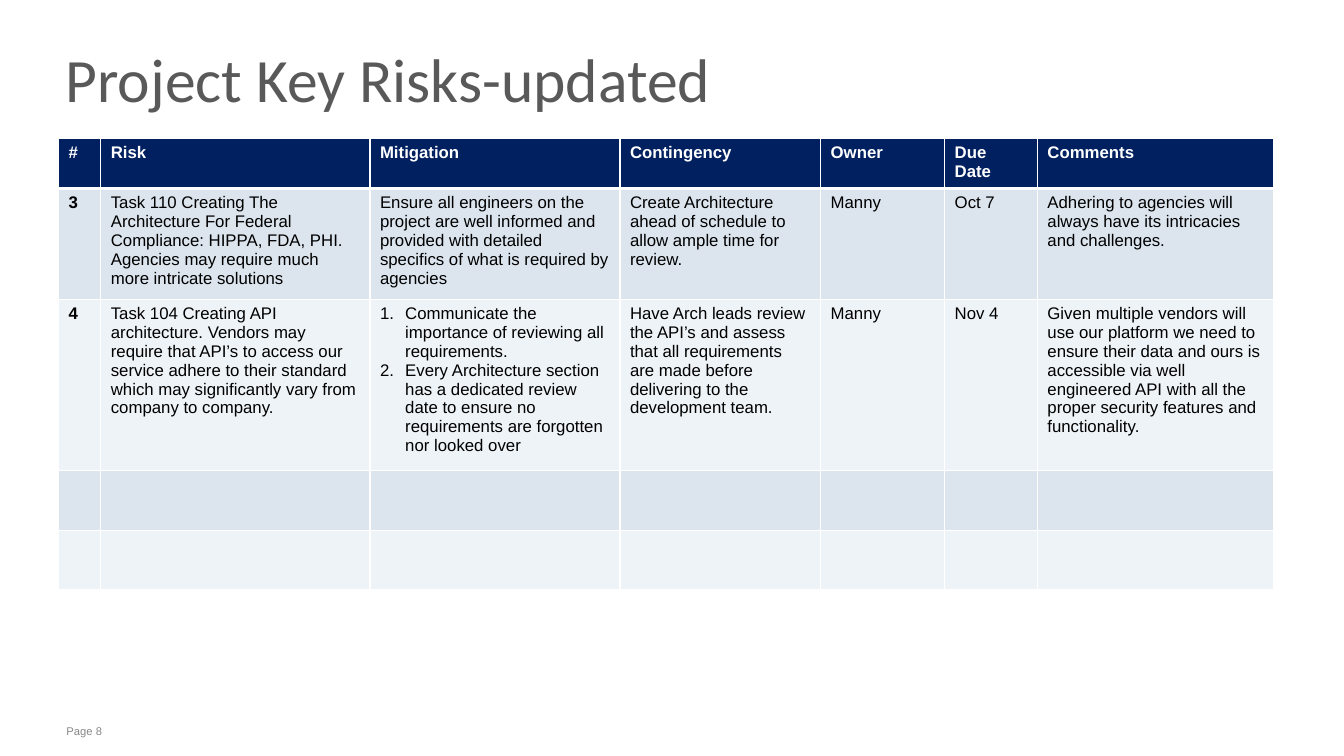
"""Build the project key risks slide: a title, a risk table and a page label."""
from dataclasses import dataclass

from lxml import etree
from pptx import Presentation
from pptx.dml.color import RGBColor
from pptx.enum.text import MSO_ANCHOR
from pptx.oxml.ns import qn
from pptx.util import Inches, Pt

TOP, MIDDLE = MSO_ANCHOR.TOP, MSO_ANCHOR.MIDDLE
WHITE = RGBColor(0xFF, 0xFF, 0xFF)
BLACK = RGBColor(0x00, 0x00, 0x00)
NAVY = RGBColor(0x00, 0x20, 0x60)
BAND_DARK = RGBColor(0xDC, 0xE5, 0xEE)
BAND_LIGHT = RGBColor(0xEE, 0xF3, 0xF7)
TITLE_GREY = RGBColor(0x59, 0x59, 0x59)
PAGE_GREY = RGBColor(0x87, 0x88, 0x8A)

SLIDE_W, SLIDE_H = Inches(13.33), Inches(7.5)
TABLE_LEFT, TABLE_TOP = 4.35, 18.27
COLUMNS = [3.15, 20.03, 18.6, 14.93, 9.23, 6.9, 17.55]
HEADER_ROW, BODY_ROW = 5.33, 7.87
THIN, THICK = Pt(1), Pt(3)


@dataclass
class Style:
    size: float
    color: RGBColor
    name: str = "Arial"
    bold: bool = False


@dataclass
class Label:
    text: str
    left: float
    top: float
    width: float
    height: float
    style: Style
    anchor: int = TOP
    inset: float = 0.05
    line_spacing: float = 1.0


HEADER = Style(12, WHITE, bold=True)
NUMBER = Style(12, BLACK, bold=True)
BODY = Style(12, BLACK)

LABELS = [
    Label("Page 8", 4.35, 95.2, 80.95, 3.2, Style(8, PAGE_GREY)),
    Label("Project Key Risks-updated", 4.28, 3.47, 82, 15.87,
          Style(44, TITLE_GREY, "Calibri"), MIDDLE, 0, 0.75),
]

RISKS = [
    ["#", "Risk", "Mitigation", "Contingency", "Owner", "Due Date", "Comments"],
    ["3",
     "Task 110 Creating The Architecture For Federal Compliance: HIPPA, FDA, PHI. "
     "Agencies may require much more intricate solutions",
     "Ensure all engineers on the project are well informed and provided with "
     "detailed specifics of what is required by agencies",
     "Create Architecture ahead of schedule to allow ample time for review.",
     "Manny", "Oct 7",
     "Adhering to agencies will always have its intricacies and challenges."],
    ["4",
     "Task 104 Creating API architecture. Vendors may require that API’s to access "
     "our service adhere to their standard which may significantly vary from "
     "company to company.",
     ["Communicate the importance of reviewing all requirements.",
      "Every Architecture section has a dedicated review date to ensure no "
      "requirements are forgotten nor looked over"],
     "Have Arch leads review the API’s and assess that all requirements are made "
     "before delivering to the development team.",
     "Manny", "Nov 4",
     "Given multiple vendors will use our platform we need to ensure their data and "
     "ours is accessible via well engineered API with all the proper security "
     "features and functionality."],
    [""] * len(COLUMNS),
    [""] * len(COLUMNS),
]


def across(share: float) -> int:
    """Turn a percentage of the slide width into a length."""
    return round(SLIDE_W * share / 100)


def down(share: float) -> int:
    """Turn a percentage of the slide height into a length."""
    return round(SLIDE_H * share / 100)


def write(p, text: str, style: Style) -> None:
    """Add one styled run to a paragraph."""
    r = p.add_run()
    r.text = text
    formats = {"size": Pt(style.size), "name": style.name, "bold": style.bold}
    for key, value in formats.items():
        setattr(r.font, key, value)
    r.font.color.rgb = style.color


def add_label(s, label: Label) -> None:
    """Draw a text box."""
    sp = s.shapes.add_textbox(across(label.left), down(label.top),
                              across(label.width), down(label.height))
    tf = sp.text_frame
    formats = {"word_wrap": True, "vertical_anchor": label.anchor,
               "margin_left": Inches(0.08), "margin_right": Inches(0.08),
               "margin_top": Inches(label.inset), "margin_bottom": Inches(label.inset)}
    for key, value in formats.items():
        setattr(tf, key, value)
    p = tf.paragraphs[0]
    p.line_spacing = label.line_spacing
    write(p, label.text, label.style)


def number(p) -> None:
    """Give a paragraph a hanging automatic number."""
    pPr = p._p.get_or_add_pPr()
    pPr.set("marL", str(Inches(0.25)))
    pPr.set("indent", str(-Inches(0.26)))
    etree.SubElement(pPr, qn("a:buFont"), typeface="+mj-lt")
    etree.SubElement(pPr, qn("a:buAutoNum"), type="arabicPeriod")


def border(cell, row: int) -> None:
    """Draw the white cell borders, thick between header and body."""
    widths = {"a:lnL": THIN, "a:lnR": THIN,
              "a:lnT": THICK if row == 1 else THIN,
              "a:lnB": THICK if row == 0 else THIN}
    tcPr = cell._tc.get_or_add_tcPr()
    for tag, width in widths.items():
        ln = etree.SubElement(tcPr, qn(tag), w=str(width))
        fill = etree.SubElement(ln, qn("a:solidFill"))
        etree.SubElement(fill, qn("a:srgbClr"), val=str(WHITE))


def fill_cell(cell, row: int, column: int, content: str | list[str]) -> None:
    """Write, border and colour one table cell."""
    style = HEADER if row == 0 else NUMBER if column == 0 else BODY
    numbered = isinstance(content, list)
    tf = cell.text_frame
    for i, text in enumerate(content if numbered else [content]):
        p = tf.add_paragraph() if i else tf.paragraphs[0]
        if numbered:
            number(p)
        if text:
            write(p, text, style)
    border(cell, row)
    cell.fill.solid()
    cell.fill.fore_color.rgb = NAVY if row == 0 else BAND_DARK if row % 2 else BAND_LIGHT


def add_risk_table(s) -> None:
    """Draw the risk table."""
    heights = [HEADER_ROW] + [BODY_ROW] * (len(RISKS) - 1)
    table = s.shapes.add_table(len(RISKS), len(COLUMNS), across(TABLE_LEFT), down(TABLE_TOP),
                               across(sum(COLUMNS)), down(sum(heights))).table
    for column, share in zip(table.columns, COLUMNS):
        column.width = across(share)
    for row, share in zip(table.rows, heights):
        row.height = down(share)
    for i, risk in enumerate(RISKS):
        for j, content in enumerate(risk):
            fill_cell(table.cell(i, j), i, j, content)


def main() -> None:
    """Build and save the slide."""
    prs = Presentation()
    prs.slide_width, prs.slide_height = SLIDE_W, SLIDE_H
    s = prs.slides.add_slide(prs.slide_layouts[6])
    for label in LABELS:
        add_label(s, label)
    add_risk_table(s)
    prs.save("out.pptx")


if __name__ == "__main__":
    main()
